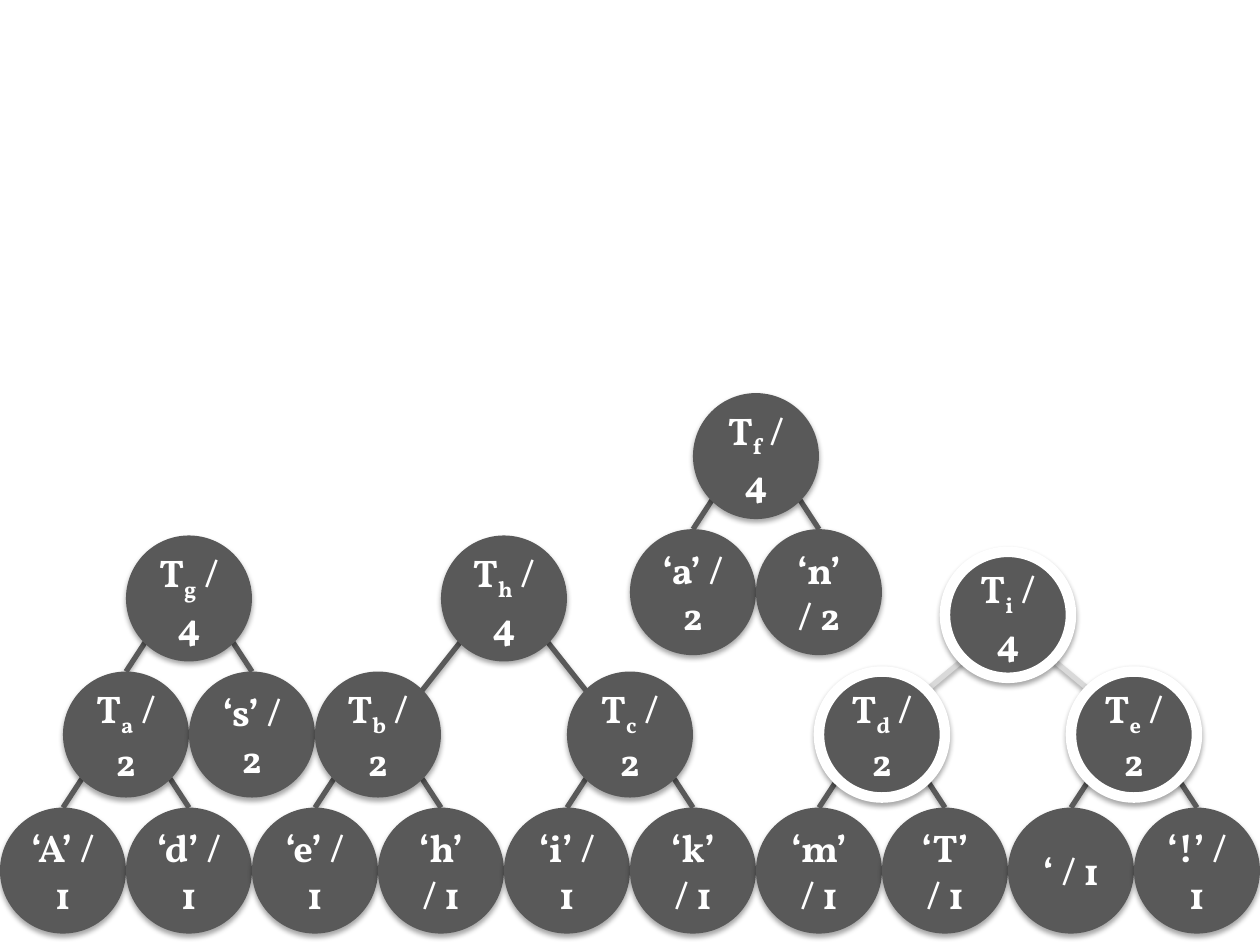
from dataclasses import dataclass

from lxml import etree
from pptx import Presentation
from pptx.dml.color import RGBColor
from pptx.enum import shapes, text
from pptx.oxml import ns
from pptx.util import Inches, Pt

DARK = RGBColor(0x59, 0x59, 0x59)
PALE = RGBColor(0xD9, 0xD9, 0xD9)
WHITE = RGBColor(0xFF, 0xFF, 0xFF)
FONT = "Vollkorn"
SIZE = 1        # circle diameter, inches
DIAGONAL = 0.35  # centre to the rim at 45 degrees, along each axis
STEP = 1.08     # from one level to the next
NEW_STEP = 0.95  # the same below the newly merged root


@dataclass
class Node:
    label: str
    weight: int
    children: tuple = ()
    subscript: str = ""
    new: bool = False

    @property
    def spread(self):
        """Sideways distance from this node to each child."""
        return 1 if all(child.children for child in self.children) else 0.5


def pair(label, *leaves, **options):
    """Return a subtree of weight 2 over two single letters."""
    return merge(label, *(Node(leaf, 1) for leaf in leaves), **options)


def merge(label, *children, **options):
    weight = sum(child.weight for child in children)
    return Node("T", weight, children, label, **options)


def add_shadow(shape):
    properties = shape._element.spPr
    effects = etree.SubElement(properties, ns.qn("a:effectLst"))
    shadow = etree.SubElement(effects, ns.qn("a:outerShdw"), blurRad=str(Pt(3.1)),
                              dist=str(Pt(1.8)), dir="5400000", rotWithShape="0")
    color = etree.SubElement(shadow, ns.qn("a:srgbClr"), val="000000")
    etree.SubElement(color, ns.qn("a:alpha"), val="35000")


def add_span(para, words, size=22, color=WHITE, bold=True, baseline=None):
    span = para.add_run()
    span.text = words
    span.font.name = FONT
    span.font.size = Pt(size)
    span.font.bold = bold
    span.font.color.rgb = color
    if baseline:
        span.font._element.set("baseline", str(baseline * 1000))


def add_edge(group, start, end, color):
    points = [Inches(value) for value in (*start, *end)]
    edge = group.shapes.add_connector(shapes.MSO_CONNECTOR.STRAIGHT, *points)
    edge.line.color.rgb = color
    edge.line.width = Pt(3)
    add_shadow(edge)


def add_circle(group, node, left, top):
    circle = group.shapes.add_shape(shapes.MSO_SHAPE.OVAL, Inches(left), Inches(top),
                                    Inches(SIZE), Inches(SIZE))
    circle.fill.solid()
    circle.fill.fore_color.rgb = DARK
    if node.new:
        circle.line.color.rgb = WHITE
        circle.line.width = Pt(6)
    else:
        circle.line.fill.background()
    add_shadow(circle)

    box = circle.text_frame
    box.word_wrap = True
    box.vertical_anchor = text.MSO_ANCHOR.MIDDLE
    para = box.paragraphs[0]
    para.alignment = text.PP_ALIGN.CENTER
    if node.subscript:
        add_span(para, node.label)
        add_span(para, node.subscript, baseline=-25)
        add_span(para, f" / {node.weight}")
    else:
        add_span(para, f"{node.label} / {node.weight}")


def draw_tree(group, node, left, top):
    """Draw a node at left, top with its edges and subtrees below it."""
    center = left + SIZE / 2
    all_new = node.new and all(child.new for child in node.children)
    step = NEW_STEP if node.children and all_new else STEP
    child_top = top + step
    sides = list(zip((-1, 1), node.children))

    # Edges leave the lower rim; wide ones meet the child's upper shoulder
    for side, child in sides:
        start = (center + side * DIAGONAL, top + SIZE / 2 + DIAGONAL)
        end = (center + side * node.spread, child_top)
        if node.spread == 1:
            end = (end[0] - side * DIAGONAL, child_top + SIZE / 2 - DIAGONAL)
        add_edge(group, start, end, PALE if all_new else DARK)

    for side, child in sides:
        draw_tree(group, child, left + side * node.spread, child_top)
    add_circle(group, node, left, top)


def main():
    deck = Presentation()
    deck.slide_width = Inches(10)
    deck.slide_height = Inches(7.5)
    page = deck.slides.add_slide(deck.slide_layouts[6])

    # The forest: each tree with the left and top of its root
    forest = [
        (merge("g", pair("a", "‘A’", "‘d’"), Node("‘s’", 2)), 1, 4.25),
        (merge("h", pair("b", "‘e’", "‘h’"), pair("c", "‘i’", "‘k’")), 3.5, 4.25),
        (merge("f", Node("‘a’", 2), Node("‘n’", 2)), 5.5, 3.12),
        (merge("i", pair("d", "‘m’", "‘T’", new=True),
               pair("e", "‘", "‘!’", new=True), new=True), 7.5, 4.38),
    ]
    for root, left, top in forest:
        draw_tree(page.shapes.add_group_shape(), root, left, top)

    deck.save("out.pptx")


if __name__ == "__main__":
    main()
